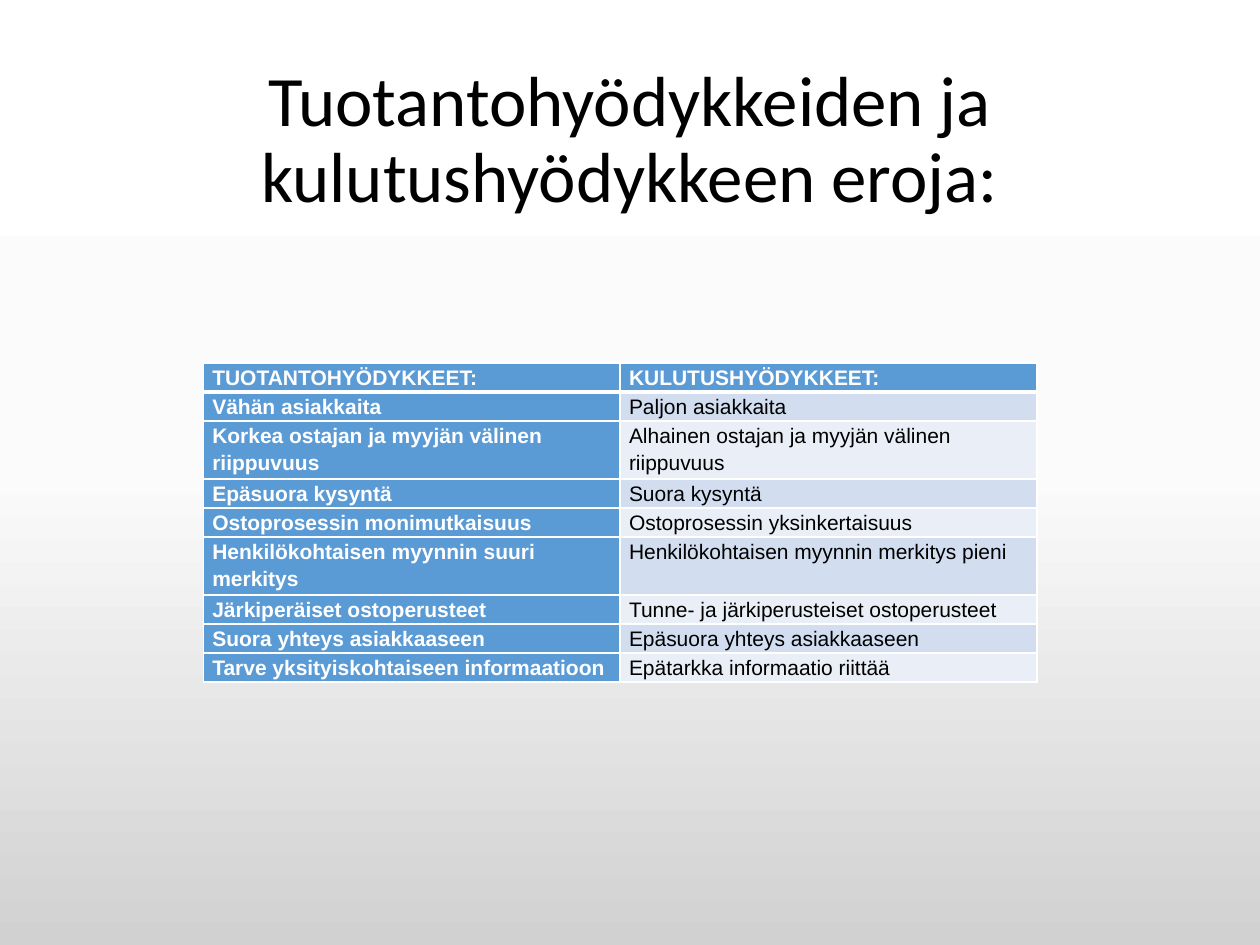
import copy
from dataclasses import dataclass

import pptx
import pptx.dml.color
import pptx.enum.text
import pptx.oxml
import pptx.oxml.ns
import pptx.util
from pptx.util import Cm


@dataclass(frozen=True)
class Theme:
    title_font: str = "Calibri"
    table_font: str = "Arial"
    title_size: float = 40.5
    table_size: float = 12
    black: str = "000000"
    white: str = "FFFFFF"
    accent: str = "5B9BD5"
    bands: tuple = ("D2DEEF", "EAEFF7")
    backdrop: tuple = ((0, "FFFFFF"), (0.5, "FBFBFB"), (1, "D1D1D1"))
    border: float = 1
    header_border: float = 3


THEME = Theme()

TITLE = "Tuotantohyödykkeiden ja kulutushyödykkeen eroja:"
ROWS = [
    ("TUOTANTOHYÖDYKKEET:", "KULUTUSHYÖDYKKEET:"),
    ("Vähän asiakkaita", "Paljon asiakkaita"),
    ("Korkea ostajan ja myyjän välinen riippuvuus",
     "Alhainen ostajan ja myyjän välinen riippuvuus"),
    ("Epäsuora kysyntä", "Suora kysyntä"),
    ("Ostoprosessin monimutkaisuus", "Ostoprosessin yksinkertaisuus"),
    ("Henkilökohtaisen myynnin suuri merkitys",
     "Henkilökohtaisen myynnin merkitys pieni"),
    ("Järkiperäiset ostoperusteet", "Tunne- ja järkiperusteiset ostoperusteet"),
    ("Suora yhteys asiakkaaseen", "Epäsuora yhteys asiakkaaseen"),
    ("Tarve yksityiskohtaiseen informaatioon", "Epätarkka informaatio riittää"),
]


def color(value):
    return pptx.dml.color.RGBColor.from_string(value)


def add_span(para, text, font, size, ink, bold=False):
    span = para.add_run()
    span.text = text
    span.font.name = font
    span.font.size = pptx.util.Pt(size)
    span.font.bold = bold
    span.font.color.rgb = color(ink)


def paint_background(page):
    fill = page.background.fill
    fill.gradient()
    fill.gradient_angle = 270  # counter-clockwise: runs from top to bottom
    # The default gradient has two stops; add the middle one
    first = fill.gradient_stops[0]._gs
    first.addnext(copy.deepcopy(first))
    for stop, (position, value) in zip(fill.gradient_stops, THEME.backdrop):
        stop.position = position
        stop.color.rgb = color(value)


def add_title(page):
    box = page.shapes.add_textbox(Cm(1.9), Cm(3.12), Cm(21.6), Cm(1.4))
    frame = box.text_frame
    frame.word_wrap = True
    frame.vertical_anchor = pptx.enum.text.MSO_ANCHOR.BOTTOM
    para = frame.paragraphs[0]
    para.alignment = pptx.enum.text.PP_ALIGN.CENTER
    para.line_spacing = 0.9
    add_span(para, TITLE, THEME.title_font, THEME.title_size, THEME.black)


def set_borders(cell, top, bottom):
    properties = cell._tc.get_or_add_tcPr()
    widths = {"L": THEME.border, "R": THEME.border, "T": top, "B": bottom}
    for index, (side, width) in enumerate(widths.items()):
        line = pptx.oxml.parse_xml(
            f'<a:ln{side} {pptx.oxml.ns.nsdecls("a")} w="{pptx.util.Pt(width)}">'
            f'<a:solidFill><a:srgbClr val="{THEME.white}"/></a:solidFill>'
            f'</a:ln{side}>')
        properties.insert(index, line)


def fill_cell(cell, text, row, column):
    strong = row == 0 or column == 0
    cell.margin_left = cell.margin_right = Cm(0.18)
    cell.margin_top = cell.margin_bottom = 0
    cell.fill.solid()
    cell.fill.fore_color.rgb = color(
        THEME.accent if strong else THEME.bands[(row - 1) % 2])
    set_borders(cell,
                top=THEME.header_border if row == 1 else THEME.border,
                bottom=THEME.header_border if row == 0 else THEME.border)
    para = cell.text_frame.paragraphs[0]
    para.line_spacing = 1.15
    add_span(para, text, THEME.table_font, THEME.table_size,
             THEME.white if strong else THEME.black, strong)


def add_comparison(page):
    row_height = Cm(0.54)
    table = page.shapes.add_table(
        len(ROWS), 2, Cm(4.1), Cm(7.32), Cm(16.8), row_height * len(ROWS)).table
    table.first_col = True
    for row, texts in enumerate(ROWS):
        table.rows[row].height = row_height
        for column, text in enumerate(texts):
            fill_cell(table.cell(row, column), text, row, column)


def main():
    deck = pptx.Presentation()
    deck.slide_width, deck.slide_height = Cm(25.4), Cm(19.05)
    page = deck.slides.add_slide(deck.slide_layouts[6])
    paint_background(page)
    add_title(page)
    add_comparison(page)
    deck.save("out.pptx")


if __name__ == "__main__":
    main()
